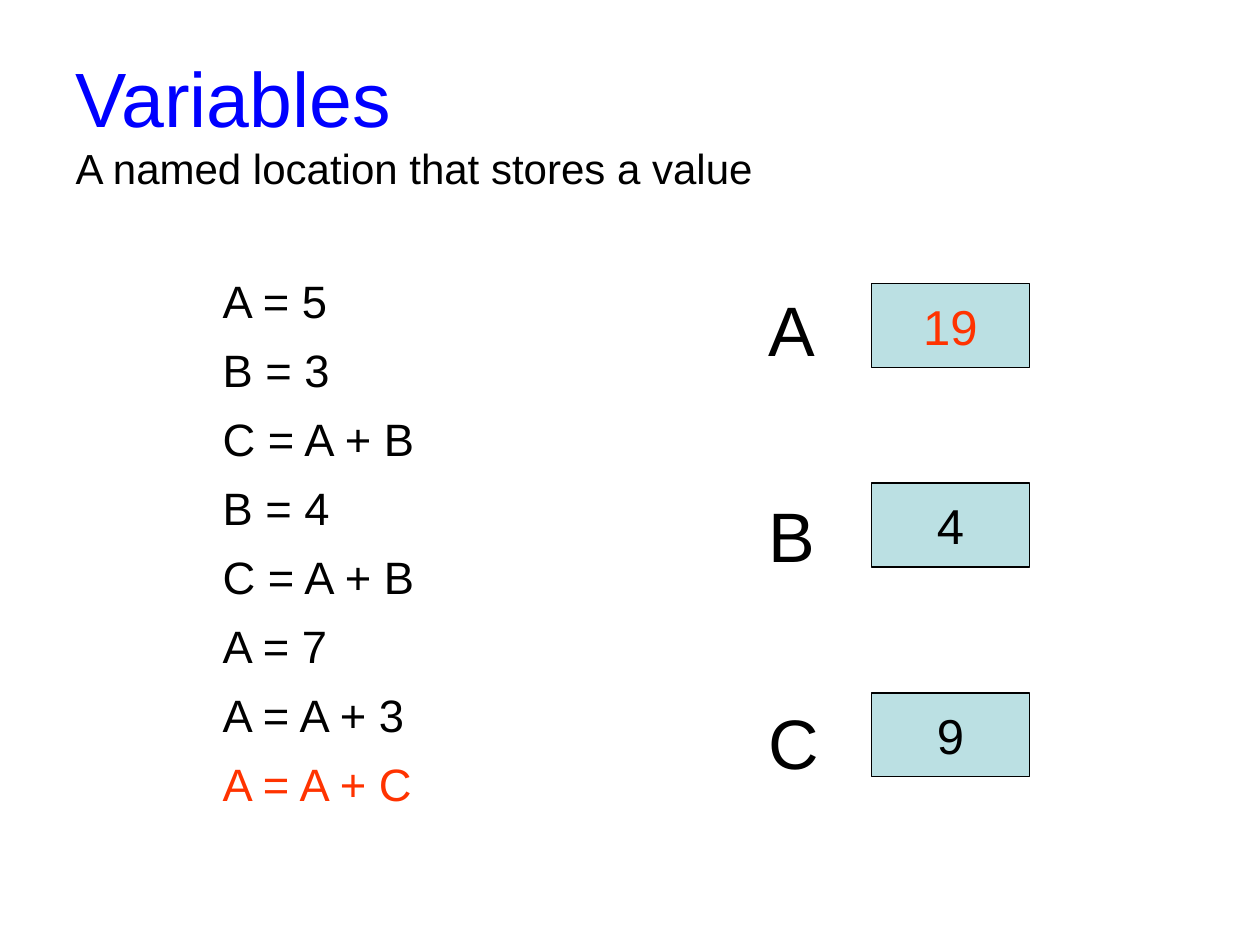
import dataclasses
import typing

import pptx
import pptx.dml.color
import pptx.enum.shapes
import pptx.enum.text
import pptx.util

COLORS = {
    "title": "0000FF",
    "text": "000000",
    "active": "FF3300",
    "cell": "BBE0E3",
    "outline": "000000",
}
FONT = "Arial"
TITLE_ONLY = 5


@dataclasses.dataclass
class Variable:
    name: str
    value: str
    top: float
    color: str = "text"


STATEMENTS = ["A = 5", "B = 3", "C = A + B", "B = 4", "C = A + B", "A = 7", "A = A + 3", "A = A + C"]
VARIABLES = [
    Variable("A", "19", 5.72, "active"),
    Variable("B", "4", 9.74),
    Variable("C", "9", 13.97),
]


def rgb(color: str) -> pptx.dml.color.RGBColor:
    return pptx.dml.color.RGBColor.from_string(COLORS[color])


def add_text(paragraph: typing.Any, text: str, *, size: float, color: str = "text",
             align: str = "LEFT", space_before: float = 0) -> None:
    paragraph.alignment = pptx.enum.text.PP_ALIGN[align]
    paragraph.space_before = pptx.util.Pt(space_before)
    run = paragraph.add_run()
    run.text = text
    run.font.name = FONT
    run.font.size = pptx.util.Pt(size)
    run.font.color.rgb = rgb(color)


def place(shape: typing.Any, left: float, top: float, width: float, height: float) -> None:
    shape.left, shape.top = pptx.util.Cm(left), pptx.util.Cm(top)
    shape.width, shape.height = pptx.util.Cm(width), pptx.util.Cm(height)


def add_title(slide: typing.Any, title: str, subtitle: str) -> None:
    shape = slide.shapes.title
    place(shape, 1.27, 0.86, 22.86, 3.18)
    frame = shape.text_frame
    frame.word_wrap = True
    frame.auto_size = pptx.enum.text.MSO_AUTO_SIZE.NONE
    frame.vertical_anchor = pptx.enum.text.MSO_ANCHOR.MIDDLE
    paragraph = frame.paragraphs[0]
    add_text(paragraph, title, size=44, color="title")
    paragraph.add_line_break()
    add_text(paragraph, subtitle, size=24)


def add_list(slide: typing.Any, lines: list[tuple[str, str]], left: float, top: float,
             width: float, height: float, size: float, gap: float) -> None:
    box = slide.shapes.add_textbox(*map(pptx.util.Cm, (left, top, width, height)))
    frame = box.text_frame
    frame.word_wrap = True
    for index, (text, color) in enumerate(lines):
        paragraph = frame.add_paragraph() if index else frame.paragraphs[0]
        add_text(paragraph, text, size=size, color=color, space_before=gap if index else 0)


def add_cell(slide: typing.Any, variable: Variable) -> None:
    cell = slide.shapes.add_shape(
        pptx.enum.shapes.MSO_SHAPE.RECTANGLE,
        *map(pptx.util.Cm, (17.57, variable.top, 3.18, 1.69)))
    cell.shadow.inherit = False
    cell.fill.solid()
    cell.fill.fore_color.rgb = rgb("cell")
    cell.line.color.rgb = rgb("outline")
    cell.line.width = pptx.util.Pt(0.75)
    frame = cell.text_frame
    frame.word_wrap = False
    frame.vertical_anchor = pptx.enum.text.MSO_ANCHOR.MIDDLE
    add_text(frame.paragraphs[0], variable.value, size=28, color=variable.color, align="CENTER")


def main() -> None:
    presentation = pptx.Presentation()
    presentation.slide_width = pptx.util.Cm(25.4)
    presentation.slide_height = pptx.util.Cm(19.05)
    slide = presentation.slides.add_slide(presentation.slide_layouts[TITLE_ONLY])

    add_title(slide, "Variables", "A named location that stores a value")
    statements = [(text, "text") for text in STATEMENTS[:-1]] + [(STATEMENTS[-1], "active")]
    add_list(slide, statements, 4.24, 5.38, 7.42, 11, size=25.9, gap=8.3)
    names = [(variable.name, "text") for variable in VARIABLES]
    add_list(slide, names, 15.24, 5.65, 2.2, 10.37, size=40, gap=70)
    for variable in VARIABLES:
        add_cell(slide, variable)

    presentation.save("out.pptx")


if __name__ == "__main__":
    main()
